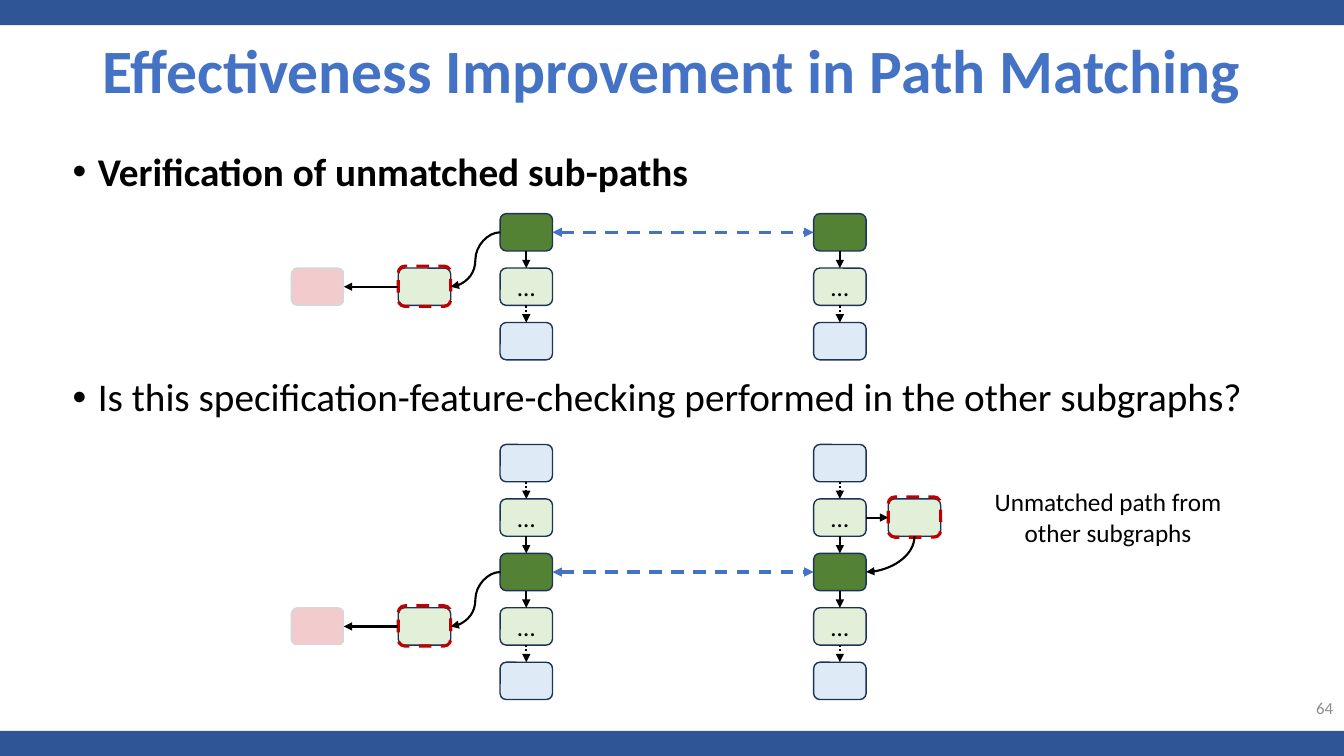
from lxml import etree
from pptx import Presentation
from pptx.dml.color import RGBColor
from pptx.enum import dml, shapes, text
from pptx.oxml import ns
from pptx.util import Inches, Pt

COLORS = {
    "bar": "2F5597", "title": "4472C4", "black": "000000", "white": "FFFFFF",
    "outline": "1E3256", "match": "548235", "step": "E2F0D9", "end": "DEEBF7",
    "missing": "C00000", "number": "8C8C8C",
}
FONT = "Calibri"
NODE_WIDTH, NODE_HEIGHT, ROW_PITCH = 0.52, 0.37, 0.54
LEFT_CHAIN, RIGHT_CHAIN = 4.96, 8.07
TOP, LEFT, BOTTOM, RIGHT = range(4)


def rgb(name):
    return RGBColor.from_string(COLORS[name])


def add_xml(parent, tag, **attributes):
    return etree.SubElement(parent, ns.qn(tag), attributes)


def style_font(paragraph, size, color, bold=False):
    font = paragraph.font
    font.name, font.size, font.bold = FONT, Pt(size), bold
    font.color.rgb = rgb(color)


def place(shape, left, top, width, height):
    shape.left, shape.top = Inches(left), Inches(top)
    shape.width, shape.height = Inches(width), Inches(height)


def add_box(slide, preset, bounds, fill=None, line=None, weight=1):
    shape = slide.shapes.add_shape(preset, *map(Inches, bounds))
    shape.shadow.inherit = False
    if fill:
        shape.fill.solid()
        shape.fill.fore_color.rgb = rgb(fill)
    else:
        shape.fill.background()
    if line:
        shape.line.color.rgb = rgb(line)
        shape.line.width = Pt(weight)
    else:
        shape.line.fill.background()
    return shape


def add_node(slide, left, top, kind, label=""):
    node = add_box(slide, shapes.MSO_SHAPE.FLOWCHART_ALTERNATE_PROCESS,
                   (left, top, NODE_WIDTH, NODE_HEIGHT), kind, "outline")
    if label:
        frame = node.text_frame
        frame.vertical_anchor = text.MSO_ANCHOR.MIDDLE
        paragraph = frame.paragraphs[0]
        paragraph.text = label
        paragraph.alignment = text.PP_ALIGN.CENTER
        style_font(paragraph, 18, "black")
    return node


def side_point(node, side):
    return {
        TOP: (node.left + node.width // 2, node.top),
        LEFT: (node.left, node.top + node.height // 2),
        BOTTOM: (node.left + node.width // 2, node.top + node.height),
        RIGHT: (node.left + node.width, node.top + node.height // 2),
    }[side]


def add_arrow(slide, start, start_side, end, end_side, curved=False,
              color="black", weight=1.5, dash=None, heads=("a:tailEnd",)):
    kind = shapes.MSO_CONNECTOR.CURVE if curved else shapes.MSO_CONNECTOR.STRAIGHT
    arrow = slide.shapes.add_connector(
        kind, *side_point(start, start_side), *side_point(end, end_side))
    if not curved:
        arrow.begin_connect(start, start_side)
        arrow.end_connect(end, end_side)
    arrow.line.color.rgb = rgb(color)
    arrow.line.width = Pt(weight)
    if dash:
        arrow.line.dash_style = dash
    properties = arrow._element.spPr
    for head in heads:
        add_xml(properties.find(ns.qn("a:ln")), head, type="triangle")
    add_xml(properties, "a:effectLst")
    return arrow


def add_chain(slide, left, top, kinds):
    """Stack nodes downwards; arrows touching an end node are dotted."""
    nodes = [add_node(slide, left, top + row * ROW_PITCH, kind,
                      "…" if kind == "step" else "")
             for row, kind in enumerate(kinds)]
    for row in range(len(nodes) - 1):
        dotted = "end" in kinds[row:row + 2]
        add_arrow(slide, nodes[row], BOTTOM, nodes[row + 1], TOP,
                  dash=dml.MSO_LINE.ROUND_DOT if dotted else None)
    return nodes


def add_unmatched_node(slide, left, top):
    node = add_node(slide, left, top, "step")
    frame = add_box(slide, shapes.MSO_SHAPE.ROUNDED_RECTANGLE,
                    (left, top - 0.02, NODE_WIDTH, 0.4), line="missing", weight=2.25)
    frame.line.dash_style = dml.MSO_LINE.DASH
    return node


def add_unmatched_branch(slide, matched, top):
    faded = add_node(slide, 2.89, top, "missing")
    veil = add_box(slide, shapes.MSO_SHAPE.RECTANGLE,
                   (2.69, top - 0.02, 0.73, 0.4), "white", "white")
    veil_color = veil._element.spPr.find(ns.qn("a:solidFill"))[0]
    add_xml(veil_color, "a:alpha", val="80000")
    unmatched = add_unmatched_node(slide, 3.95, top)
    add_arrow(slide, unmatched, LEFT, faded, RIGHT)
    add_arrow(slide, matched, LEFT, unmatched, RIGHT, curved=True)


def add_graph_pair(slide, top, kinds):
    left_chain = add_chain(slide, LEFT_CHAIN, top, kinds)
    right_chain = add_chain(slide, RIGHT_CHAIN, top, kinds)
    row = kinds.index("match")
    add_arrow(slide, left_chain[row], RIGHT, right_chain[row], LEFT,
              color="title", weight=2.25, dash=dml.MSO_LINE.DASH,
              heads=("a:headEnd", "a:tailEnd"))
    add_unmatched_branch(slide, left_chain[row], top + (row + 1) * ROW_PITCH)
    return right_chain


def add_detour(slide, step, matched):
    """Side path that leaves a step and rejoins at the matched node."""
    detour = add_unmatched_node(slide, 8.81, 4.95)
    add_arrow(slide, step, RIGHT, detour, LEFT)
    bend = add_arrow(slide, matched, RIGHT, detour, BOTTOM, curved=True,
                     heads=("a:headEnd",))
    bend._element.spPr.find(ns.qn("a:prstGeom")).set("prst", "curvedConnector2")


def add_text(slide, bounds, words, size, color, alignment, anchor):
    frame = slide.shapes.add_textbox(*map(Inches, bounds)).text_frame
    frame.word_wrap = True
    frame.vertical_anchor = anchor
    paragraph = frame.paragraphs[0]
    paragraph.text = words
    paragraph.alignment = alignment
    style_font(paragraph, size, color)


def fill_title(title, words):
    place(title, 0, 0, 13.33, 1.46)
    frame = title.text_frame
    frame.auto_size = text.MSO_AUTO_SIZE.NONE
    frame.vertical_anchor = text.MSO_ANCHOR.MIDDLE
    paragraph = frame.paragraphs[0]
    paragraph.text = words
    paragraph.alignment = text.PP_ALIGN.CENTER
    paragraph.line_spacing = 0.9
    style_font(paragraph, 44, "title", bold=True)


def fill_body(body, items):
    place(body, 0.62, 1.46, 11.91, 5.64)
    frame = body.text_frame
    frame.auto_size = text.MSO_AUTO_SIZE.NONE
    for index, (words, bold, space_before) in enumerate(items):
        paragraph = frame.add_paragraph() if index else frame.paragraphs[0]
        paragraph.text = words
        paragraph.line_spacing = 0.9
        paragraph.space_before = Pt(space_before)
        properties = paragraph._p.get_or_add_pPr()
        properties.set("marL", str(Inches(0.25)))
        properties.set("indent", str(Inches(-0.25)))
        add_xml(properties, "a:buFont", typeface="Arial")
        add_xml(properties, "a:buChar", char="•")
        style_font(paragraph, 28, "black", bold)


def main():
    presentation = Presentation()
    presentation.slide_width, presentation.slide_height = Inches(13.33), Inches(7.5)
    slide = presentation.slides.add_slide(presentation.slide_layouts[1])
    for top in (0, 7.25):
        add_box(slide, shapes.MSO_SHAPE.RECTANGLE, (0, top, 13.33, 0.25), "bar")
    fill_title(slide.shapes.title, "Effectiveness Improvement in Path Matching")
    fill_body(slide.placeholders[1], [
        ("Verification of unmatched sub-paths", True, 0),
        ("Is this specification-feature-checking performed in the other subgraphs?",
         False, 131),
    ])
    add_graph_pair(slide, 2.12, ["match", "step", "end"])
    right_chain = add_graph_pair(slide, 4.41, ["end", "step", "match", "step", "end"])
    add_detour(slide, right_chain[1], right_chain[2])
    add_text(slide, (9.63, 4.78, 2.72, 0.71), "Unmatched path from other subgraphs",
             18, "black", text.PP_ALIGN.CENTER, text.MSO_ANCHOR.TOP)
    add_text(slide, (10.32, 6.82, 3, 0.4), "64", 12, "number",
             text.PP_ALIGN.RIGHT, text.MSO_ANCHOR.MIDDLE)
    presentation.save("out.pptx")


if __name__ == "__main__":
    main()
